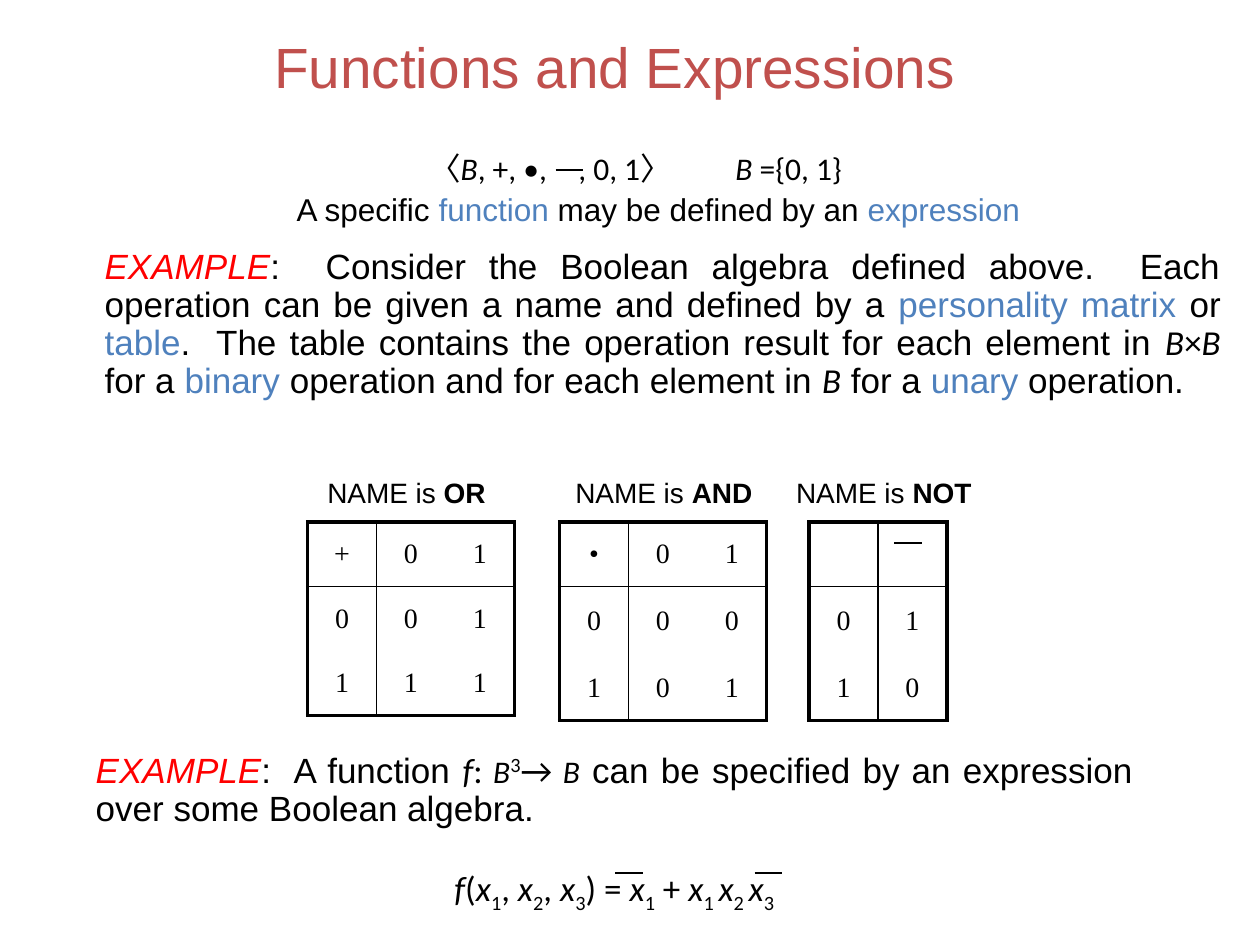
import pptx
import pptx.util
import pptx.dml.color
import pptx.enum.shapes
import pptx.enum.text
import pptx.oxml.ns
from lxml import etree

Cm, Pt = pptx.util.Cm, pptx.util.Pt
ALIGN = pptx.enum.text.PP_ALIGN
ANCHOR = pptx.enum.text.MSO_ANCHOR
AUTO = pptx.enum.text.MSO_AUTO_SIZE
qn = pptx.oxml.ns.qn


class Theme:
    text, title, key, example = "000000", "C0504D", "4F81BD", "FF0000"
    sans, math, table = "Arial", "Calibri", "Times New Roman"
    title_size, label_size, cell_size = 32.4, 16, 16
    thick, thin = 2.25, 1


# Run styles
STYLES = {
    "text": {},
    "bold": dict(bold=True),
    "key": dict(color=Theme.key),
    "example": dict(color=Theme.example, italic=True),
    "math": dict(font=Theme.math),
    "var": dict(font=Theme.math, italic=True),
    "small_var": dict(font=Theme.math, italic=True, size=18),
    "sub": dict(font=Theme.math, baseline=-25000),
    "sup": dict(font=Theme.math, baseline=30000),
    "cell": dict(font=Theme.table),
}

# Content: each paragraph has its runs as (text, style)
TITLE = "Functions and Expressions"

ALGEBRA = [
    dict(size=18, align=ALIGN.CENTER, before=3.6, left=0.95, first=-0.95, runs=[
        ("\u3008", "math"), ("B", "var"), (", +, •,\u2003, 0, 1\u3009\t ", "math"),
        ("B", "var"), (" ={0, 1} ", "math")]),
    dict(size=18, align=ALIGN.CENTER, before=3.6, left=0.95, runs=[
        ("A specific ", "text"), ("function", "key"),
        (" may be defined by an ", "text"), ("expression ", "key")]),
    dict(size=20, align=ALIGN.JUSTIFY, before=12.5, left=0.95, runs=[
        ("EXAMPLE", "example"),
        (":  Consider the Boolean algebra defined above.  Each operation can be "
         "given a name and defined by a ", "text"),
        ("personality matrix", "key"), (" or ", "text"), ("table", "key"),
        (".  The table contains the operation result for each element in ", "text"),
        ("B", "var"), ("×", "math"), ("B", "var"), (" for a ", "text"),
        ("binary", "key"), (" operation and for each element in ", "text"),
        ("B", "var"), (" for a ", "text"), ("unary", "key"), (" operation.", "text")]),
]

FUNCTION = [
    dict(size=20, align=ALIGN.JUSTIFY, before=4, runs=[
        ("EXAMPLE", "example"), (":  A function ", "text"), ("f", "var"), (": ", "math"),
        ("B", "small_var"), ("3", "sup"), ("→ ", "math"), ("B", "small_var"),
        (" can be specified by an expression over some Boolean algebra.", "text")]),
    dict(size=20, align=ALIGN.CENTER, before=22, runs=[
        ("f", "var"), ("(", "math"), ("x", "var"), ("1", "sub"), (", ", "math"),
        ("x", "var"), ("2", "sub"), (", ", "math"), ("x", "var"), ("3", "sub"),
        (") = ", "math"), ("x", "var"), ("1", "sub"), (" + ", "math"),
        ("x", "var"), ("1 ", "sub"), ("x", "var"), ("2 ", "sub"),
        ("x", "var"), ("3", "sub")]),
]

# Operations: name, label left and width, table left, row heights, cells
OPERATIONS = [
    ("OR", 6.35, 3.71, 6.2, (1.3, 1.3, 1.3), ["+01", "001", "111"]),
    ("AND", 11.35, 4.09, 11.28, (1.3, 1.4, 1.3), ["•01", "000", "101"]),
    ("NOT", 15.8, 4.06, 16.31, (1.3, 1.4, 1.3), [("", ""), "01", "10"]),
]
LABEL_TOP, LABEL_H, TABLE_TOP, COL_W = 9.47, 0.94, 10.52, 1.39

# Complement bars: left, top
BARS = [(11.2, 3.43), (18.03, 10.95), (15.21, 17.6), (12.4, 17.6)]
BAR_W = 0.56


def rgb(value):
    return pptx.dml.color.RGBColor.from_string(value)


def add_run(p, text, style, size):
    st = STYLES[style]
    r = p.add_run()
    r.text = text
    r.font.name = st.get("font", Theme.sans)
    r.font.size = Pt(st.get("size", size))
    r.font.color.rgb = rgb(st.get("color", Theme.text))
    r.font.bold = st.get("bold", False)
    r.font.italic = st.get("italic", False)
    if "baseline" in st:
        r.font._element.set("baseline", str(st["baseline"]))


def add_text(box, paragraphs, wrap=True):
    tf = slide.shapes.add_textbox(*map(Cm, box)).text_frame
    tf.word_wrap = wrap
    for i, item in enumerate(paragraphs):
        p = tf.add_paragraph() if i else tf.paragraphs[0]
        p.alignment = item.get("align", ALIGN.LEFT)
        if "before" in item:
            p.line_spacing = 0.9
            p.space_before = Pt(item["before"])
        pPr = p._p.get_or_add_pPr()
        pPr.set("marL", str(Cm(item.get("left", 0))))
        pPr.set("indent", str(Cm(item.get("first", 0))))
        for text, style in item["runs"]:
            add_run(p, text, style, item["size"])


def set_border(cell, side, width):
    ln = etree.SubElement(cell._tc.get_or_add_tcPr(), qn("a:ln" + side))
    if width:
        ln.set("w", str(Pt(width)))
        fill = etree.SubElement(ln, qn("a:solidFill"))
        etree.SubElement(fill, qn("a:srgbClr")).set("val", Theme.text)
    else:
        etree.SubElement(ln, qn("a:noFill"))


def edge_width(index, count):
    """Thick outside, thin after the first row or column, none elsewhere."""
    return Theme.thick if index in (0, count) else Theme.thin if index == 1 else 0


def add_operation(left, heights, rows):
    n_rows, n_cols = len(rows), len(rows[0])
    frame = slide.shapes.add_table(n_rows, n_cols, Cm(left), Cm(TABLE_TOP),
                                   Cm(COL_W * n_cols), Cm(sum(heights)))
    table = frame.table
    table.first_row = table.horz_banding = False
    for col in table.columns:
        col.width = Cm(COL_W)
    for i, row in enumerate(rows):
        table.rows[i].height = Cm(heights[i])
        for j, text in enumerate(row):
            cell = table.cell(i, j)
            cell.vertical_anchor = ANCHOR.MIDDLE
            for side, k, n in (("L", j, n_cols), ("R", j + 1, n_cols),
                               ("T", i, n_rows), ("B", i + 1, n_rows)):
                set_border(cell, side, edge_width(k, n))
            cell.fill.background()
            if text:
                p = cell.text_frame.paragraphs[0]
                p.alignment = ALIGN.CENTER
                p.space_before = Pt(3.2)
                add_run(p, text, "cell", Theme.cell_size)


prs = pptx.Presentation()
prs.slide_width, prs.slide_height = Cm(25.4), Cm(19.05)
slide = prs.slides.add_slide(prs.slide_layouts[5])

# Title
sp = slide.shapes.title
sp.left, sp.top, sp.width, sp.height = map(Cm, (3.18, 0.48, 18.42, 1.7))
tf = sp.text_frame
tf.text = TITLE
tf.auto_size = AUTO.NONE
tf.vertical_anchor = ANCHOR.MIDDLE
p = tf.paragraphs[0]
p.alignment = ALIGN.CENTER
font = p.runs[0].font
font.name, font.size = Theme.sans, Pt(Theme.title_size)
font.color.rgb = rgb(Theme.title)

# Text blocks
add_text((0.91, 2.97, 23.95, 6.2), ALGEBRA)
add_text((1.68, 15.06, 21.41, 3.43), FUNCTION)

# Operation tables with their labels
for name, label_left, label_w, left, heights, rows in OPERATIONS:
    label = dict(size=Theme.label_size, runs=[("NAME is ", "text"), (name, "bold")])
    add_text((label_left, LABEL_TOP, label_w, LABEL_H), [label], wrap=False)
    add_operation(left, heights, rows)

# Complement bars
for x, y in BARS:
    bar = slide.shapes.add_connector(pptx.enum.shapes.MSO_CONNECTOR.STRAIGHT,
                                     Cm(x), Cm(y), Cm(x + BAR_W), Cm(y))
    bar.line.color.rgb = rgb(Theme.text)
    bar.line.width = Pt(Theme.thin)
    etree.SubElement(bar._element.spPr, qn("a:effectLst"))

prs.save("out.pptx")
